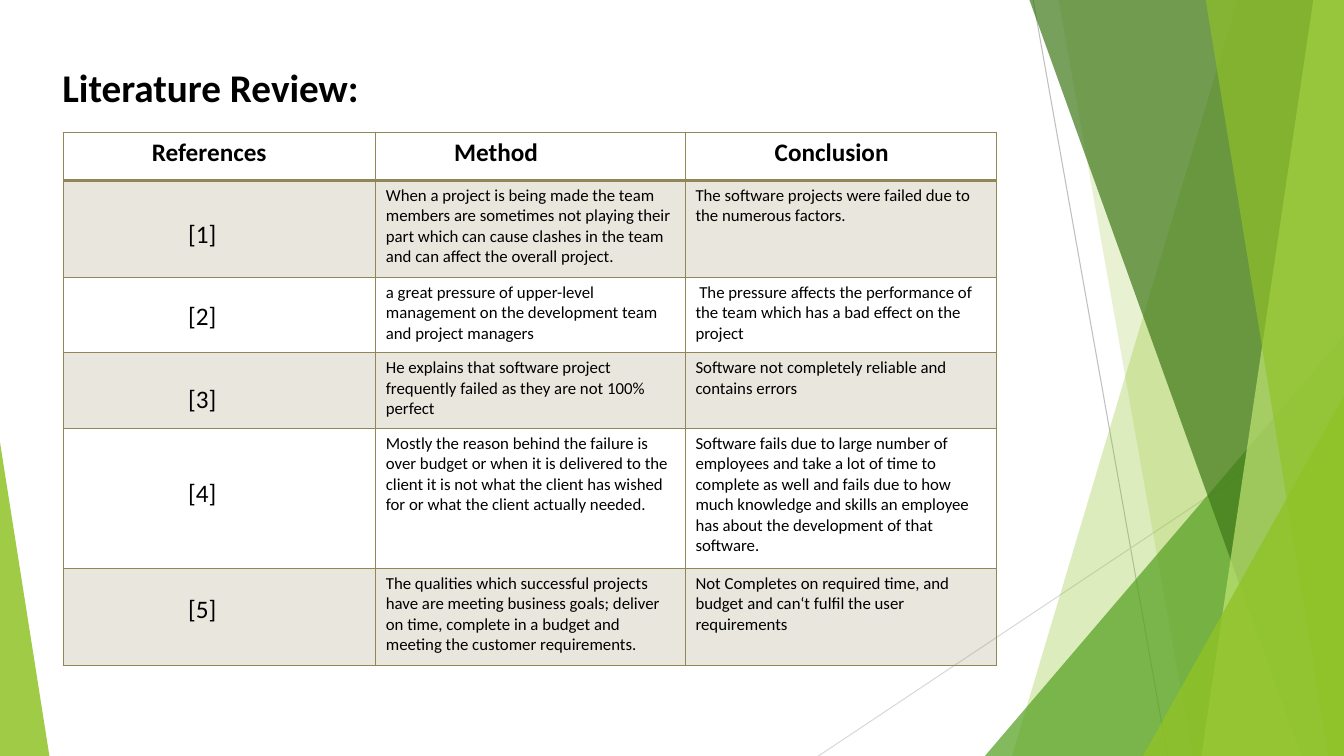
from dataclasses import dataclass
from typing import Any

from lxml import etree
from pptx import Presentation
from pptx import util as u
from pptx.dml.color import RGBColor
from pptx.enum import shapes, text
from pptx.oxml.ns import qn


@dataclass(frozen=True)
class Theme:
    font: str = "Calibri"
    ink: str = "000000"
    white: str = "FFFFFF"
    leaf: str = "90C226"
    grass: str = "54A021"
    forest: str = "3F7819"
    lime: str = "C0E474"
    olive: str = "918655"
    title_size: float = 28
    header_size: float = 18
    body_size: float = 12


@dataclass(frozen=True)
class Ray:
    start: tuple[float, float]
    end: tuple[float, float]
    color: str


@dataclass(frozen=True)
class Band:
    top_x: float
    bottom_x: float
    color: str
    opacity: int


@dataclass(frozen=True)
class Wedge:
    left: float
    top: float
    width: float
    apex: float
    color: str
    opacity: int


@dataclass(frozen=True)
class Heading:
    label: str
    width: float
    margin: float


@dataclass(frozen=True)
class Study:
    height: float
    label_top: float
    method: str
    conclusion: str


THEME = Theme()
WIDTH, HEIGHT = 960, 540
BAND_TOP = -0.7

RAYS = [
    Ray((738, 0), (834, HEIGHT), "BFBFBF"),
    Ray((WIDTH, 290), (584.6, HEIGHT), "D9D9D9"),
]
FOLIAGE = [
    Band(884.2, 722.9, THEME.leaf, 30),
    Band(756, 851.8, THEME.leaf, 20),
    Wedge(703.5, 239.8, 256.5, 1, THEME.grass, 72),
    Band(735.1, 929.5, THEME.forest, 70),
    Band(938.2, 858.2, THEME.lime, 70),
    Band(861.1, 949, THEME.leaf, 65),
    Wedge(816.5, 283, 143.5, 1, THEME.leaf, 80),
    Wedge(0, 316, 35.3, 0, THEME.leaf, 85),
]
HEADINGS = [
    Heading("References", 223.2, 63.3),
    Heading("Method", 221.2, 56),
    Heading("Conclusion", 222.2, 63.8),
]
HEADER_HEIGHT = 34
STUDIES = [
    Study(69.2, 152.6,
          "When a project is being made the team members are sometimes not playing their part which can cause "
          "clashes in the team and can affect the overall project.",
          "The software projects were failed due to the numerous factors."),
    Study(54, 211,
          "a great pressure of upper-level management on the development team and project managers",
          " The pressure affects the performance of the team which has a bad effect on the project"),
    Study(54, 270,
          "He explains that software project frequently failed as they are not 100% perfect",
          "Software not completely reliable and contains errors"),
    Study(100, 337.7,
          "Mostly the reason behind the failure is over budget or when it is delivered to the client it is not "
          "what the client has wished for or what the client actually needed.",
          "Software fails due to large number of employees and take a lot of time to complete as well and fails "
          "due to how much knowledge and skills an employee has about the development of that software."),
    Study(69.2, 420.5,
          "The qualities which successful projects have are meeting business goals; deliver on time, complete in "
          "a budget and meeting the customer requirements.",
          "Not Completes on required time, and budget and can‘t fulfil the user requirements"),
]


def paint(fill: Any, properties: Any, color: str, opacity: int) -> None:
    fill.solid()
    fill.fore_color.rgb = RGBColor.from_string(color)
    swatch = properties.find(qn("a:solidFill"))[0]
    etree.SubElement(swatch, qn("a:alpha"), val=str(opacity * 1000))


def write(frame: Any, words: str, size: float, bold: bool = False) -> None:
    frame.text = words
    for para in frame.paragraphs:
        para.alignment = text.PP_ALIGN.LEFT
        for span in para.runs:
            span.font.name = THEME.font
            span.font.size = u.Pt(size)
            span.font.bold = bold
            span.font.color.rgb = RGBColor.from_string(THEME.ink)


def draw_ray(page: Any, ray: Ray) -> None:
    ends = [u.Pt(value) for value in (*ray.start, *ray.end)]
    line = page.shapes.add_connector(shapes.MSO_CONNECTOR.STRAIGHT, *ends)
    line.line.color.rgb = RGBColor.from_string(ray.color)
    line.line.width = u.Pt(0.75)
    etree.SubElement(line.element.spPr, qn("a:effectLst"))


def draw_leaf(page: Any, leaf: Band | Wedge) -> None:
    if isinstance(leaf, Band):
        corners = [(WIDTH, BAND_TOP), (WIDTH, HEIGHT), (leaf.bottom_x, HEIGHT)]
        builder = page.shapes.build_freeform(u.Pt(leaf.top_x), u.Pt(BAND_TOP))
        builder.add_line_segments([(u.Pt(x), u.Pt(y)) for x, y in corners], close=True)
        shape = builder.convert_to_shape()
    else:
        place = (leaf.left, leaf.top, leaf.width, HEIGHT - leaf.top)
        shape = page.shapes.add_shape(shapes.MSO_SHAPE.ISOSCELES_TRIANGLE, *[u.Pt(value) for value in place])
        shape.adjustments[0] = leaf.apex
    shape.shadow.inherit = False
    shape.line.fill.background()
    paint(shape.fill, shape.element.spPr, leaf.color, leaf.opacity)


def outline_cell(properties: Any, row: int) -> None:
    widths = {"lnL": 1, "lnR": 1, "lnT": 2 if row == 1 else 1, "lnB": 2 if row == 0 else 1}
    for side, width in widths.items():
        edge = etree.SubElement(properties, qn(f"a:{side}"), w=str(u.Pt(width)))
        etree.SubElement(etree.SubElement(edge, qn("a:solidFill")), qn("a:srgbClr"), val=THEME.olive)


def draw_table(page: Any) -> None:
    heights = [HEADER_HEIGHT] + [study.height for study in STUDIES]
    total = sum(heading.width for heading in HEADINGS)
    place = [u.Pt(value) for value in (45.2, 94.8, total, sum(heights))]
    table = page.shapes.add_table(len(heights), len(HEADINGS), *place).table
    for column, heading in zip(table.columns, HEADINGS):
        column.width = u.Pt(heading.width)
    rows = [[heading.label for heading in HEADINGS]]
    rows += [["", study.method, study.conclusion] for study in STUDIES]
    for row, (height, words) in enumerate(zip(heights, rows)):
        table.rows[row].height = u.Pt(height)
        for column, heading in enumerate(HEADINGS):
            cell = table.cell(row, column)
            properties = cell._tc.get_or_add_tcPr()
            outline_cell(properties, row)
            if row % 2:
                paint(cell.fill, properties, THEME.olive, 20)
            else:
                cell.fill.background()
            if row == 0:
                cell.margin_left = u.Pt(heading.margin)
            size = THEME.body_size if row else THEME.header_size
            write(cell.text_frame, words[column], size, row == 0)


def draw_label(page: Any, number: int, study: Study) -> None:
    box = page.shapes.add_textbox(u.Pt(127.4), u.Pt(study.label_top), u.Pt(69.8), u.Pt(28.8))
    box.text_frame.word_wrap = True
    write(box.text_frame, f"[{number}]", THEME.header_size)


def draw_title(page: Any) -> None:
    title = page.shapes.title
    title.left, title.top, title.width, title.height = [u.Pt(value) for value in (37.4, 41.8, 663, 63.4)]
    title.text_frame.vertical_anchor = text.MSO_ANCHOR.TOP
    write(title.text_frame, "Literature Review:", THEME.title_size, True)


def main() -> None:
    deck = Presentation()
    deck.slide_width, deck.slide_height = u.Pt(WIDTH), u.Pt(HEIGHT)
    page = deck.slides.add_slide(deck.slide_layouts.get_by_name("Title Only"))
    page.background.fill.solid()
    page.background.fill.fore_color.rgb = RGBColor.from_string(THEME.white)
    for ray in RAYS:
        draw_ray(page, ray)
    for leaf in FOLIAGE:
        draw_leaf(page, leaf)
    draw_title(page)
    draw_table(page)
    for number, study in enumerate(STUDIES, start=1):
        draw_label(page, number, study)
    deck.save("out.pptx")


if __name__ == "__main__":
    main()
